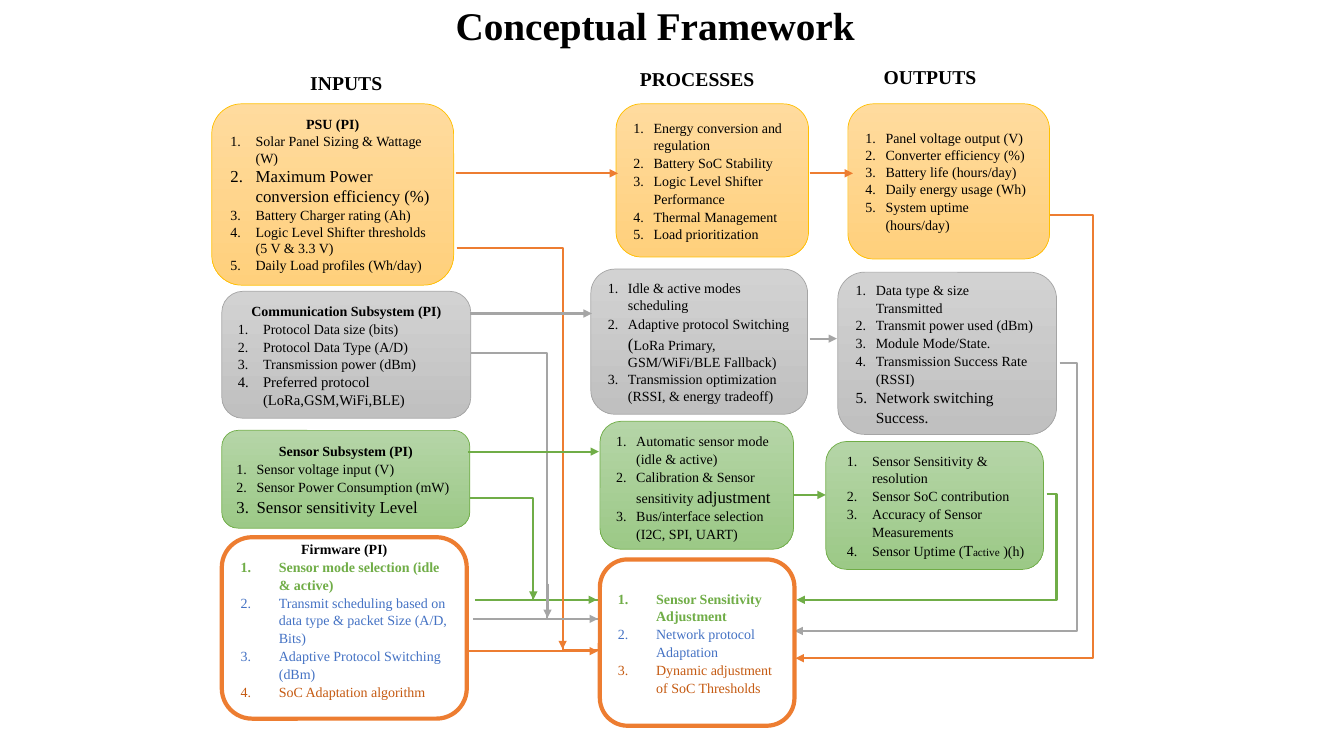
from pptx import Presentation
from pptx.dml.color import RGBColor as RGB
from pptx.enum.shapes import MSO_CONNECTOR as Conn, MSO_SHAPE as Form
from pptx.enum.text import MSO_ANCHOR as Anchor, PP_ALIGN as Align
from pptx.oxml.ns import qn
from pptx.util import Pt
from lxml.etree import SubElement as Sub

PX = 9144
BLACK = RGB(0, 0, 0)
WHITE = RGB(255, 255, 255)
ORANGE = RGB(0xED, 0x7D, 0x31)
GRAY = RGB(0xA5, 0xA5, 0xA5)
GREEN = RGB(0x70, 0xAD, 0x47)
BLUE = RGB(0x44, 0x72, 0xC4)
RUST = RGB(0xC5, 0x5A, 0x11)
GOLD = RGB(0xFF, 0xC0, 0)

POWER = (RGB(0xFF, 0xDB, 0x9E), RGB(0xFF, 0xD0, 0x7C), GOLD, 0.5)
COMMS = (RGB(0xD2, 0xD2, 0xD2), RGB(0xC0, 0xC0, 0xC0), GRAY, 0.5)
SENSE = (RGB(0xB5, 0xD5, 0xA7), RGB(0x9C, 0xC9, 0x87), GREEN, 0.5)
FIRM = (WHITE, None, ORANGE, 3)
LABEL = (WHITE, None, WHITE, 1)


class Board:
    def __init__(self, slide, font="Times New Roman"):
        self.shapes = slide.shapes
        self.font = font

    def run(self, para, text, size=10, color=BLACK, bold=False):
        run = para.add_run()
        run.text = text
        font = run.font
        font.name, font.size, font.bold = self.font, Pt(size), bold
        font.color.rgb = color

    def title(self, rect, text, size):
        box = self.shapes.add_textbox(*(v * PX for v in rect))
        box.text_frame.word_wrap = True
        self.run(box.text_frame.paragraphs[0], text, size, bold=True)

    def panel(self, rect, tone, foot=5):
        top, base, edge, width = tone
        shape = self.shapes.add_shape(Form.ROUNDED_RECTANGLE, *(v * PX for v in rect))
        shape.shadow.inherit = False
        fill = shape.fill
        if base is None:
            fill.solid()
            fill.fore_color.rgb = top
        else:
            fill.gradient()
            fill.gradient_angle = 270
            for stop, color in zip(fill.gradient_stops, (top, base)):
                stop.color.rgb = color
        shape.line.color.rgb = edge
        shape.line.width = Pt(width)
        frame = shape.text_frame
        frame.word_wrap = True
        frame.vertical_anchor = Anchor.MIDDLE
        frame.margin_bottom = foot * PX
        return frame

    def label(self, rect, text, size=14):
        para = self.panel(rect, LABEL).paragraphs[0]
        para.alignment = Align.CENTER
        self.run(para, text, size, bold=True)

    def card(self, rect, tone, items, head=None, left=20, hang=25, gap=1.06, tight=(), foot=5):
        frame = self.panel(rect, tone, foot)
        para = frame.paragraphs[0]
        if head:
            para.alignment = Align.CENTER
            para.line_spacing = gap
            self.run(para, head, bold=True)
        for i, item in enumerate(items):
            if i or head:
                para = frame.add_paragraph()
            para.alignment = Align.LEFT
            para.line_spacing = 1.0 if i in tight else gap
            self.number(para, left, hang)
            for part in item if isinstance(item, list) else [(item,)]:
                self.run(para, *part)

    def number(self, para, left, hang):
        props = para._p.get_or_add_pPr()
        props.set("marL", str(left * PX))
        props.set("indent", str(-hang * PX))
        Sub(props, qn("a:buFont"), typeface=self.font)
        Sub(props, qn("a:buAutoNum"), type="arabicPeriod")

    def link(self, start, end, color, bend=None, arrow=True):
        kind = Conn.STRAIGHT if bend is None else Conn.ELBOW
        line = self.shapes.add_connector(kind, *(v * PX for v in start + end))
        line.line.color.rgb = color
        line.line.width = Pt(1.5)
        props = line._element.spPr
        if bend is not None:
            ratio = round((bend - start[0]) / (end[0] - start[0]) * 100000)
            guides = props.find(qn("a:prstGeom")).get_or_add_avLst()
            Sub(guides, qn("a:gd"), name="adj1", fmla=f"val {ratio}")
        if arrow:
            Sub(line.line._get_or_add_ln(), qn("a:tailEnd"), type="triangle")
        Sub(props, qn("a:effectLst"))


def draw(board):
    board.title((442, -4, 443, 57), "Conceptual Framework", 28)
    board.label((252, 64, 183, 36), "INPUTS")
    board.label((593, 58, 197, 40), "PROCESSES")
    board.label((831, 53, 183, 47), "OUTPUTS")

    for start, end, color, bend in (
        ((1038, 490), (790, 595), GREEN, 1048),
        ((1051, 360), (788, 626), GRAY, 1068),
        ((1041, 213), (789, 653), ORANGE, 1084),
    ):
        board.link(start, end, color, bend)
    for start, end, color, bend in (
        ((464, 494), (594, 595), GREEN, 529),
        ((466, 350), (619, 614), GRAY, 543),
        ((453, 246), (661, 645), ORANGE, 558),
    ):
        board.link(start, end, color, bend, False)

    board.card((210, 103, 240, 180), POWER, [
        "Solar Panel Sizing & Wattage (W)",
        [("Maximum Power conversion efficiency (%)", 12)],
        "Battery Charger rating (Ah)",
        "Logic Level Shifter thresholds (5 V & 3.3 V)",
        "Daily Load profiles (Wh/day)",
    ], "PSU (PI)", left=25, gap=1.0)
    board.card((220, 289, 247, 126), COMMS, [
        "Protocol Data size (bits)",
        "Protocol Data Type (A/D)",
        "Transmission power (dBm)",
        [("Preferred protocol (LoRa,GSM,WiFi,BLE)", 10.5)],
    ], "Communication Subsystem (PI)", left=25, tight=(3,))
    board.card((220, 427, 246, 97), SENSE, [
        "Sensor voltage input (V)",
        "Sensor Power Consumption (mW)",
        [("Sensor sensitivity Level", 12)],
    ], "Sensor Subsystem (PI)")
    board.card((220, 533, 243, 180), FIRM, [
        [("Sensor mode selection (idle & active)", 10, GREEN, True)],
        [("Transmit scheduling based on data type & packet Size (A/D, Bits)", 10, BLUE)],
        [("Adaptive Protocol Switching (dBm)", 10, BLUE)],
        [("SoC Adaptation algorithm", 10, RUST)],
    ], "Firmware (PI)", left=38, hang=38, foot=21)

    board.card((611, 103, 191, 152), POWER, [
        "Energy conversion and regulation",
        "Battery SoC Stability",
        "Logic Level Shifter Performance",
        "Thermal Management",
        "Load prioritization",
    ])
    board.card((586, 267, 215, 144), COMMS, [
        "Idle & active modes scheduling",
        [("Adaptive protocol Switching",), (" (", 12), ("LoRa Primary, GSM/WiFi/BLE Fallback)",)],
        "Transmission optimization (RSSI, & energy tradeoff)",
    ], gap=1.0)
    board.card((595, 418, 192, 127), SENSE, [
        [("Automatic sensor mode",), (" ", 12), ("(idle & active)",)],
        [("Calibration & Sensor sensitivity ",), ("adjustment", 12)],
        "Bus/interface selection (I2C, SPI, UART)",
    ])
    board.card((595, 555, 193, 165), FIRM, [
        [("Sensor Sensitivity Adjustment", 10, GREEN, True)],
        [("Network protocol Adaptation", 10, BLUE)],
        [("Dynamic adjustment of SoC Thresholds", 10, RUST)],
    ], left=38, hang=38)

    board.card((841, 103, 200, 154), POWER, [
        "Panel voltage output (V)",
        "Converter efficiency (%)",
        "Battery life (hours/day)",
        "Daily energy usage (Wh)",
        "System uptime (hours/day)",
    ], hang=20, tight=(0, 1, 2))
    board.card((831, 270, 217, 161), COMMS, [
        "Data type & size Transmitted",
        "Transmit power used (dBm)",
        "Module Mode/State.",
        "Transmission Success Rate (RSSI)",
        [("Network switching Success.", 11)],
    ], hang=20)
    board.card((819, 438, 216, 127), SENSE, [
        "Sensor Sensitivity & resolution",
        "Sensor SoC contribution",
        "Accuracy of Sensor Measurements",
        [("Sensor Uptime (",), ("T", 11), ("active", 8), (" )(h)",)],
    ], left=30)

    for left, right, y, color in (
        (452, 613, 172, ORANGE), (803, 846, 172, ORANGE),
        (466, 587, 311, GRAY), (803, 830, 336, GRAY),
        (464, 594, 448, GREEN), (787, 819, 491, GREEN),
        (565, 592, 595, GREEN), (561, 593, 614, GRAY), (464, 593, 646, ORANGE),
    ):
        board.link((left, y), (right, y), color)
    for x, foot, color in ((529, 595, GREEN), (543, 613, GRAY), (558, 644, ORANGE)):
        board.link((x, foot - 34), (x, foot), color)
    for left, right, y, color in ((471, 538, 595, GREEN), (469, 564, 614, GRAY)):
        board.link((left, y), (right, y), color, arrow=False)


def main():
    deck = Presentation()
    deck.slide_width, deck.slide_height = 1333 * PX, 750 * PX
    draw(Board(deck.slides.add_slide(deck.slide_layouts[6])))
    deck.save("out.pptx")


if __name__ == "__main__":
    main()
